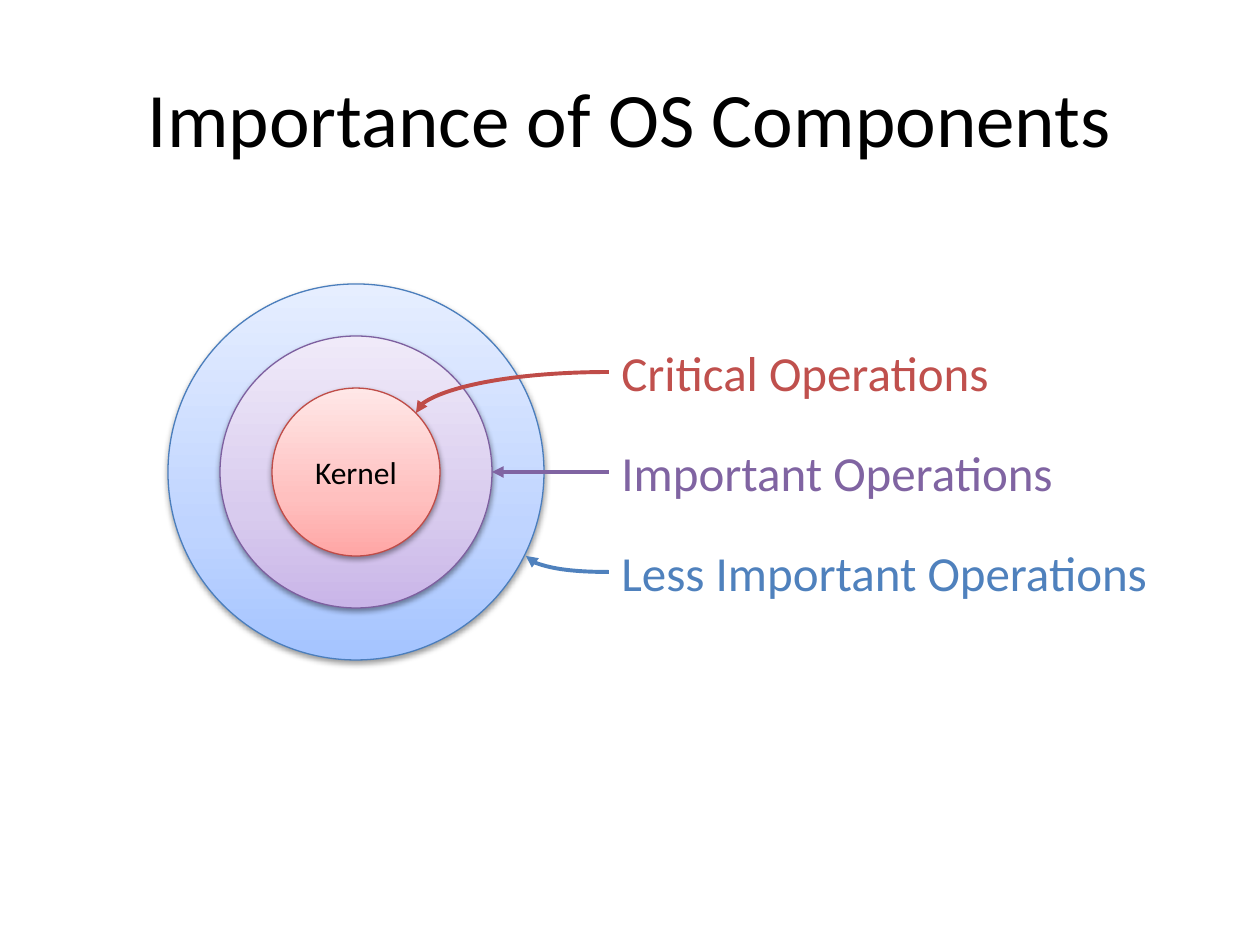
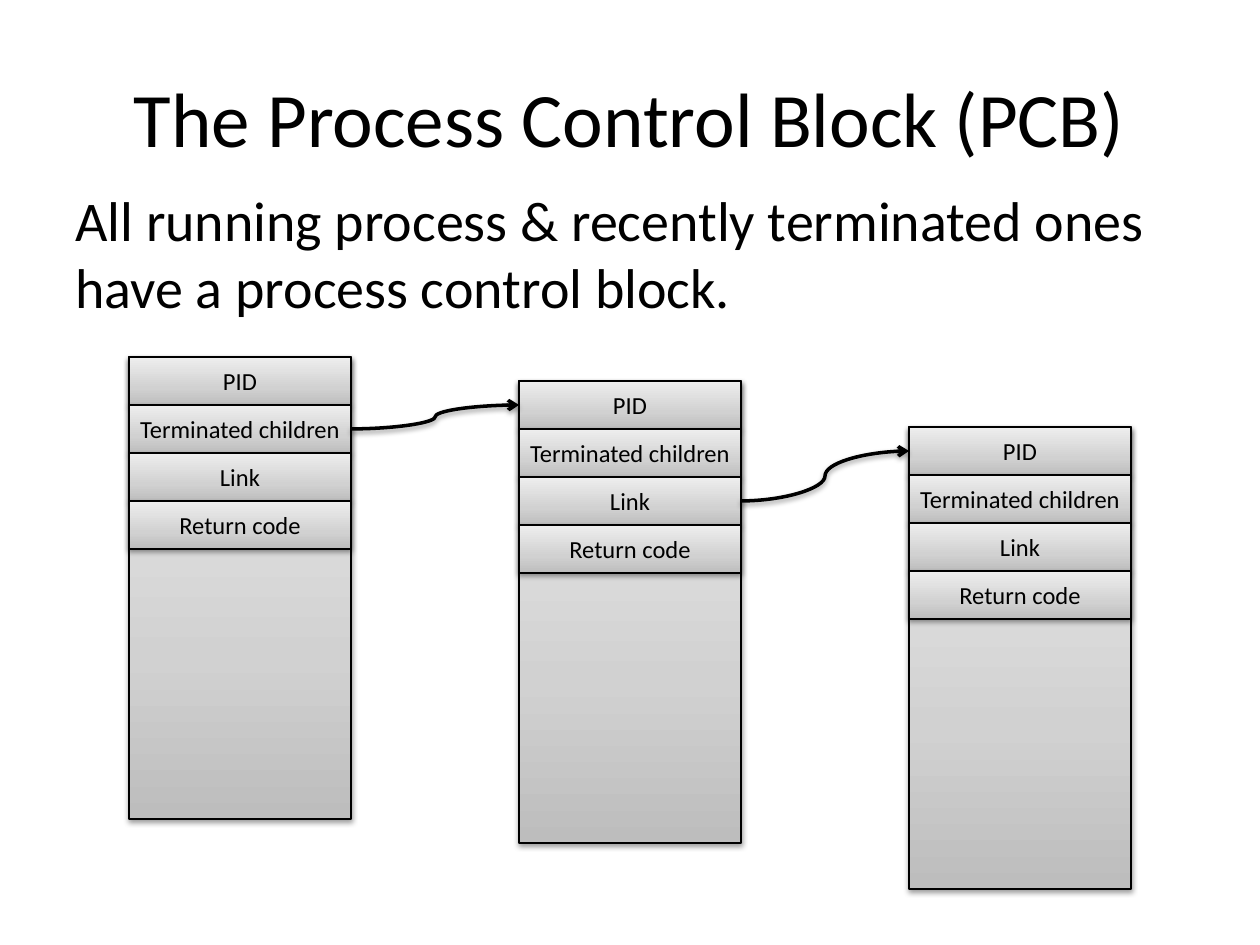
from copy import deepcopy

from pptx import Presentation
from pptx.dml.color import RGBColor
from pptx.enum.shapes import MSO_CONNECTOR as Link, MSO_SHAPE as Shape
from pptx.enum.text import MSO_ANCHOR as Anchor, PP_ALIGN as Align
from pptx.oxml import parse_xml
from pptx.oxml.ns import nsdecls, qn
from pptx.util import Emu, Pt

SCALE = 914400 / 126  # EMU in one pixel
BLACK = "000000"
BLUE, PURPLE, RED = "4F81BD", "8064A2", "C0504D"
GREYS = ["BDBDBD", "D1D1D1", "EEEEEE"]
STOPS = [0, 0.35, 1]
EFFECTS = f'<a:effectLst {nsdecls("a")}/>'
SHADOW = (
    f'<a:outerShdw {nsdecls("a")} blurRad="40000" dist="20000" dir="5400000" rotWithShape="0">'
    '<a:srgbClr val="000000"><a:alpha val="38000"/></a:srgbClr></a:outerShdw>'
)


def px(value):
    return Emu(round(value * SCALE))


def rgb(value):
    return RGBColor.from_string(value)


def write(box, text, size=14, color=BLACK, align=Align.LEFT, anchor=Anchor.TOP, inset=None):
    frame = box.text_frame
    frame.word_wrap = True
    frame.vertical_anchor = anchor
    if inset is not None:
        frame.margin_left = frame.margin_right = px(inset)
        frame.margin_top = frame.margin_bottom = px(inset)
    para = frame.paragraphs[0]
    para.alignment = align
    span = para.add_run()
    span.text = text
    span.font.name = "Calibri"
    span.font.size = Pt(size)
    span.font.color.rgb = rgb(color)


class Painter:
    """Holds the deck's style and the slide being built."""

    def __init__(self):
        self.deck = Presentation()
        self.deck.slide_width, self.deck.slide_height = px(1260), px(945)
        self.slide = None

    def page(self, title):
        self.slide = self.deck.slides.add_slide(self.deck.slide_layouts[6])
        self.text(63, 38, 1134, 157, title, size=44, align=Align.CENTER, anchor=Anchor.MIDDLE)

    def text(self, left, top, width, height, text, **style):
        box = self.slide.shapes.add_textbox(px(left), px(top), px(width), px(height))
        write(box, text, **style)

    def shape(self, kind, left, top, width, height, colors, line):
        """Preset shape with a three-stop gradient rising from the bottom."""
        shape = self.slide.shapes.add_shape(kind, px(left), px(top), px(width), px(height))
        fill = shape.fill
        fill.gradient()
        fill.gradient_angle = 90
        stops = next(shape._element.spPr.iter(qn("a:gsLst")))
        stops.insert(1, deepcopy(stops[0]))
        for stop, position, color in zip(fill.gradient_stops, STOPS, colors):
            stop.position = position
            stop.color.rgb = rgb(color)
        shape.line.color.rgb = rgb(line)
        shape.line.width = Pt(0.75)
        shape.shadow.inherit = False
        shape._element.spPr.find(qn("a:effectLst")).append(parse_xml(SHADOW))
        return shape

    def curve(self, start, end, color, width, head, shadow=False, bend=False):
        """Curved arrow; bend selects the single-arc form."""
        arrow = self.slide.shapes.add_connector(Link.CURVE, *map(px, start + end))
        properties = arrow._element.spPr
        if bend:
            properties.find(qn("a:prstGeom")).set("prst", "curvedConnector2")
        arrow.line.color.rgb = rgb(color)
        arrow.line.width = Pt(width)
        arrow.line._ln.append(parse_xml(f'<a:tailEnd {nsdecls("a")} type="{head}"/>'))
        effects = parse_xml(EFFECTS)
        if shadow:
            effects.append(parse_xml(SHADOW))
        properties.append(effects)
        return arrow

    def ring(self, radius, colors, line):
        center_x, center_y = 356, 472
        return self.shape(Shape.OVAL, center_x - radius, center_y - radius,
                          2 * radius, 2 * radius, colors, line)

    def block(self, left, top):
        """Process control block; returns its field boxes by name."""
        width, height, row = 222, 462, 48
        self.shape(Shape.RECTANGLE, left, top, width, height, GREYS, BLACK)
        fields = {}
        for index, name in enumerate(["PID", "Terminated children", "Link", "Return code"]):
            box = self.shape(Shape.RECTANGLE, left, top + index * row, width, row, GREYS, BLACK)
            write(box, name, align=Align.CENTER, anchor=Anchor.MIDDLE, inset=0)
            fields[name] = box
        return fields

    def connect(self, source, target):
        """Arrow from the right side of one field to the left side of another."""
        arrow = self.curve((0, 0), (1, 1), BLACK, 2, "arrow", shadow=True)
        arrow.begin_connect(source, 3)
        arrow.end_connect(target, 1)


painter = Painter()

# Slide 1: nested rings, from the outside in, each with its label and arrow
painter.page("Importance of OS Components")
RINGS = [
    (188, ["A4C4FF", "BFD4FF", "E6EEFF"], "4B7EBC", BLUE, BLUE,
     "Less Important Operations", 536, 557, (526, 556)),
    (136, ["C9B5E8", "D8CBEE", "F0EAF9"], "7D60A0", PURPLE, PURPLE,
     "Important Operations", 436, 460, (492, 472)),
    (84, ["FFA6A5", "FFC0BF", "FFE7E7"], "BF4C48", RED, "BF4C48",
     "Critical Operations", 336, 483, (416, 413)),
]
for radius, colors, line, ink, arrow_color, label, top, width, tip in RINGS:
    circle = painter.ring(radius, colors, line)
    painter.text(609, top, width, 72, label, size=28, color=ink)
    middle = top + 36
    painter.curve((609, middle), tip, arrow_color, 2.25, "triangle", bend=tip[1] != middle)
write(circle, "Kernel", size=18, align=Align.CENTER, anchor=Anchor.MIDDLE)

# Slide 2: chain of process control blocks
painter.page("The Process Control Block (PCB)")
painter.text(63, 179, 1134, 624,
             "All running process & recently terminated ones have a process control block.", size=32)
parent, child, sibling = [
    painter.block(129 + 390 * index, top) for index, top in enumerate([357, 381, 427])
]
painter.connect(parent["Terminated children"], child["PID"])
painter.connect(child["Link"], sibling["PID"])

painter.deck.save("out.pptx")
